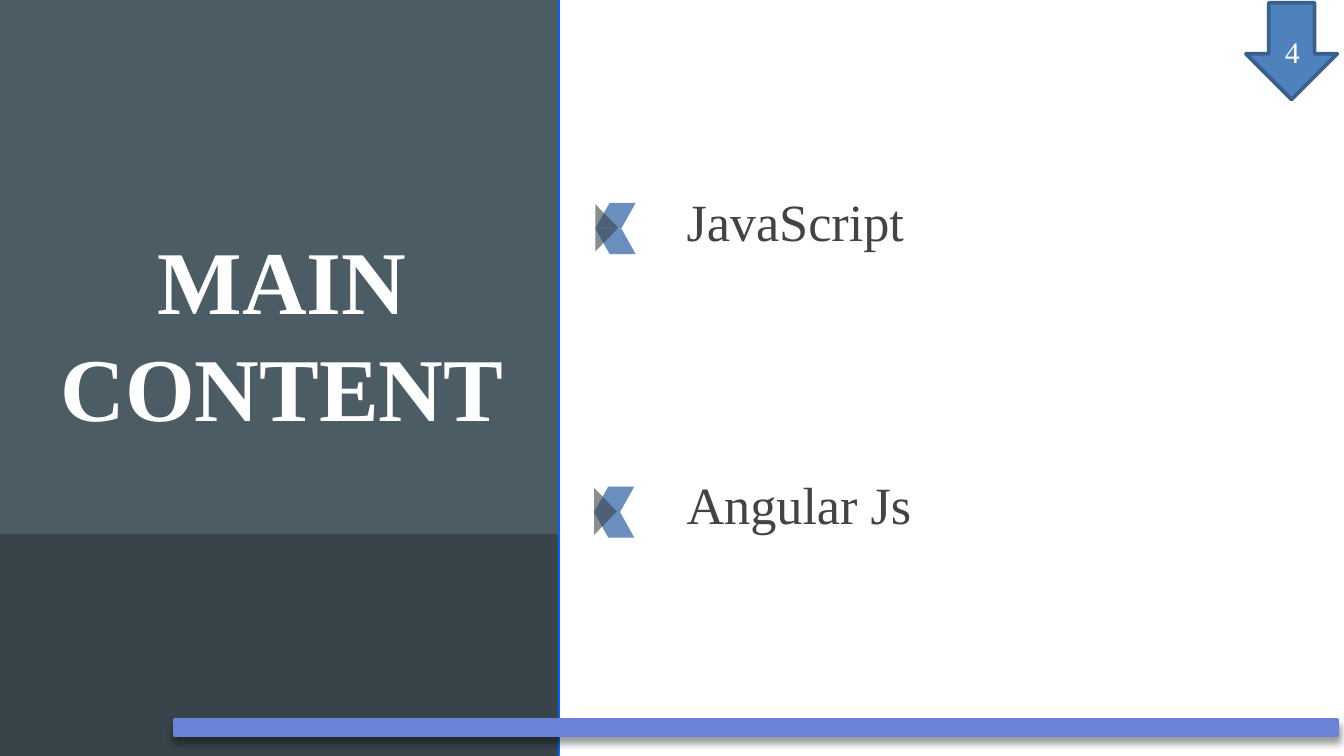
"""Build the main content slide with its two topics."""
from lxml.etree import SubElement
from pptx import Presentation
from pptx.dml.color import RGBColor
from pptx.enum.shapes import MSO_SHAPE
from pptx.enum.text import MSO_ANCHOR, MSO_AUTO_SIZE, PP_ALIGN
from pptx.oxml import parse_xml
from pptx.oxml.ns import nsdecls, qn
from pptx.util import Inches, Pt

WHITE = RGBColor(0xFF, 0xFF, 0xFF)
TEXT = RGBColor(0x43, 0x43, 0x43)
STEEL = RGBColor(0x5E, 0x85, 0xB9)
DARK = RGBColor(0x38, 0x44, 0x4A)
SLATE = RGBColor(0x4C, 0x5C, 0x64)
EDGE = RGBColor(0x00, 0x66, 0xFF)
BAR = RGBColor(0x69, 0x83, 0xD7)
ARROW = RGBColor(0x4F, 0x81, 0xBD)
ARROW_LINE = RGBColor(0x3A, 0x5F, 0x8C)


def add_shape(kind, box, fill, line=None, alpha=None):
    sp = s.shapes.add_shape(kind, *map(Inches, box))
    sp.shadow.inherit = False
    sp.fill.solid()
    sp.fill.fore_color.rgb = fill
    if line is None:
        sp.line.fill.background()
    else:
        sp.line.color.rgb = line
        sp.line.width = Pt(2)
    if alpha:
        color = sp._element.spPr.find(qn("a:solidFill"))[0]
        SubElement(color, qn("a:alpha"), val=str(alpha * 1000))
    return sp


def set_text(sp, text, size, color, align, anchor, bold=False):
    tf = sp.text_frame
    tf.text = text
    frame = {"word_wrap": True, "auto_size": MSO_AUTO_SIZE.NONE, "vertical_anchor": anchor}
    frame |= {f"margin_{side}": Inches(0.1) for side in ("left", "top", "right", "bottom")}
    for name, value in frame.items():
        setattr(tf, name, value)
    p = tf.paragraphs[0]
    p.alignment = align
    font = p.runs[0].font
    for name, value in {"name": "Times New Roman", "size": Pt(size), "bold": bold}.items():
        setattr(font, name, value)
    font.color.rgb = color


prs = Presentation()
prs.slide_width = Inches(10)
prs.slide_height = prs.slide_width * 9 // 16
s = prs.slides.add_slide(prs.slide_layouts[5])

for topic, left, top in [("JavaScript", 4.43, 1.39), ("Angular Js", 4.42, 3.5)]:
    for row in range(2):
        sp = add_shape(MSO_SHAPE.PARALLELOGRAM, (left, top + 0.12 + 0.19 * row, 0.3, 0.19), STEEL, alpha=92)
        sp.adjustments[0] = 0.56
        if row:
            sp._element.spPr.xfrm.set("flipH", "1")
    sp = add_shape(MSO_SHAPE.ISOSCELES_TRIANGLE, (left - 0.09, top + 0.22, 0.35, 0.17), DARK, alpha=60)
    sp.rotation = 90
    label = s.shapes.add_textbox(*map(Inches, (5.01, top, 4.99, 0.5)))
    set_text(label, topic, 28, TEXT, PP_ALIGN.LEFT, MSO_ANCHOR.MIDDLE)

add_shape(MSO_SHAPE.DOWN_ARROW, (9.27, 0.02, 0.68, 0.72), ARROW, ARROW_LINE)
number = s.shapes.add_textbox(*map(Inches, (9.17, 0.17, 0.6, 0.43)))
set_text(number, "4", 16, WHITE, PP_ALIGN.RIGHT, MSO_ANCHOR.MIDDLE)

for box, color in [
    ((0, 0, 4.15, 5.62), EDGE),
    ((0, 0, 4.14, 3.97), SLATE),
    ((0, 3.99, 4.14, 1.63), DARK),
]:
    add_shape(MSO_SHAPE.RECTANGLE, box, color, color)

bar = add_shape(MSO_SHAPE.RECTANGLE, (1.3, 5.36, 8.65, 0.11), BAR, BAR)
shadow = parse_xml(
    f'<a:outerShdw {nsdecls("a")} blurRad="{Pt(4)}" dist="{Pt(3)}" dir="5400000" rotWithShape="0">'
    '<a:srgbClr val="000000"><a:alpha val="40000"/></a:srgbClr></a:outerShdw>'
)
bar._element.spPr.find(qn("a:effectLst")).append(shadow)

title = s.shapes.title
title.left, title.top, title.width, title.height = map(Inches, (0.14, 1.57, 3.92, 2.63))
set_text(title, "MAIN CONTENT", 48, WHITE, PP_ALIGN.CENTER, MSO_ANCHOR.TOP, bold=True)
s.shapes._spTree.append(title._element)

prs.save("out.pptx")
